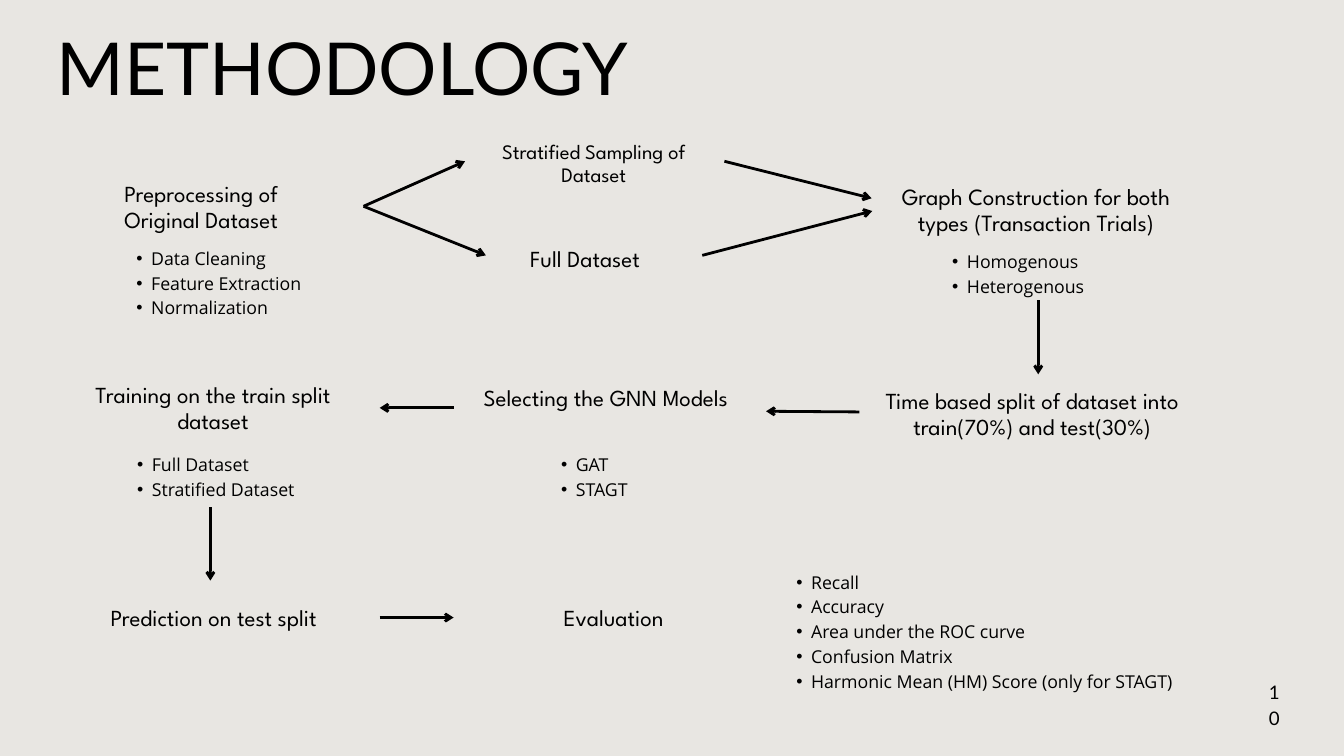
from lxml import etree
from pptx import Presentation
from pptx import util as u
from pptx.dml.color import RGBColor
from pptx.enum import shapes, text
from pptx.oxml import ns

COLORS = {"paper": "E8E6E2", "ink": "000000"}
LEFT, MID = text.PP_ALIGN.LEFT, text.PP_ALIGN.CENTER


class Board:
    """Holds the slide and the style of its text and arrows."""

    def __init__(self, slide):
        self.slide = slide
        self.ink = RGBColor.from_string(COLORS["ink"])
        fill = slide.background.fill
        fill.solid()
        fill.fore_color.rgb = RGBColor.from_string(COLORS["paper"])

    def label(self, lines, place, font, size, lead, align=LEFT, bullet=False):
        """Add a text box with one paragraph per line; lead is the line pitch in points."""
        box = self.slide.shapes.add_textbox(*map(u.Inches, place))
        frame = box.text_frame
        frame.margin_left = frame.margin_right = 0
        frame.margin_top = frame.margin_bottom = 0
        frame.word_wrap = True
        frame.auto_size = text.MSO_AUTO_SIZE.SHAPE_TO_FIT_TEXT
        frame.text = "\n".join(lines)
        for para in frame.paragraphs:
            para.alignment = align
            para.line_spacing = u.Pt(lead)
            if bullet:
                self.mark(para)
            for run in para.runs:
                run.font.name = font
                run.font.size = u.Pt(size)
                run.font.color.rgb = self.ink

    def mark(self, para):
        """Give a paragraph a hanging bullet."""
        para.level = 1
        props = para._p.get_or_add_pPr()
        props.set("marL", str(u.Inches(0.45)))
        props.set("indent", str(u.Inches(-0.22)))
        etree.SubElement(props, ns.qn("a:buFont"), typeface="Arial")
        etree.SubElement(props, ns.qn("a:buChar"), char="•")

    def title(self, words, place):
        self.label([words], place, "Lato", 78.2, 89.9)

    def number(self, words, place):
        self.label([words], place, "Lato", 20, 28, MID)

    def step(self, lines, place, size=24.6, align=MID):
        self.label(lines, place, "League Spartan", size, round(size * 1.13, 1), align)

    def bullets(self, lines, place):
        self.label(lines, place, "Open Sans", 19, 26.6, bullet=True)

    def arrow(self, *ends):
        line = self.slide.shapes.add_connector(
            shapes.MSO_CONNECTOR.STRAIGHT, *map(u.Inches, ends))
        line.line.color.rgb = self.ink
        line.line.width = u.Pt(3)
        props = line._element.spPr
        etree.SubElement(props.find(ns.qn("a:ln")), ns.qn("a:tailEnd"), type="arrow")
        etree.SubElement(props, ns.qn("a:effectLst"))


def main():
    deck = Presentation()
    deck.slide_width, deck.slide_height = u.Inches(20), u.Inches(11.25)
    board = Board(deck.slides.add_slide(deck.slide_layouts[6]))

    board.title("METHODOLOGY", (0.84, 0.39, 15.08, 1.25))
    board.number("10", (18.88, 10.07, 0.17, 0.22))

    board.step(["Preprocessing of", "Original Dataset"],
               (1.85, 2.69, 2.66, 0.78), align=LEFT)
    board.step(["Stratified Sampling of Dataset"], (7.01, 2.09, 3.65, 0.69), size=22)
    board.step(["Graph Construction for both types (Transaction Trials)"],
               (13.19, 2.73, 4.45, 0.79), size=24.9)
    for words, place in (
        ("Full Dataset", (7.77, 3.66, 1.87, 0.4)),
        ("Time based split of dataset into train(70%) and test(30%)",
         (13.05, 5.77, 4.62, 0.78)),
        ("Selecting the GNN Models", (6.98, 5.73, 4.07, 0.4)),
        ("Training on the train split dataset", (1.07, 5.69, 4.2, 0.78)),
        ("Prediction on test split", (1.29, 9, 3.78, 0.4)),
        ("Evaluation", (7.24, 9, 3.78, 0.4)),
    ):
        board.step([words], place)

    for lines, place in (
        (["Data Cleaning", "Feature Extraction", "Normalization"],
         (1.8, 3.63, 2.7, 1.08)),
        (["Homogenous", "Heterogenous"], (13.94, 3.68, 2.2, 0.72)),
        (["GAT", "STAGT"], (8.12, 6.7, 1.46, 0.73)),
        (["Full Dataset", "Stratified Dataset"], (1.81, 6.7, 2.84, 0.72)),
        (["Recall", "Accuracy", "Area under the ROC curve", "Confusion Matrix",
          "Harmonic Mean (HM) Score (only for STAGT)"], (11.62, 8.45, 6.06, 1.87)),
    ):
        board.bullets(lines, place)

    for ends in (
        (5.41, 3.07, 6.92, 2.4),
        (5.41, 3.07, 7.23, 3.8),
        (10.78, 2.4, 12.97, 2.95),
        (10.45, 3.8, 12.98, 3.14),
        (15.45, 4.47, 15.45, 5.57),
        (12.79, 6.13, 11.4, 6.12),
        (6.75, 6.07, 5.65, 6.07),
        (3.13, 7.55, 3.13, 8.64),
        (5.65, 9.19, 6.75, 9.19),
    ):
        board.arrow(*ends)

    deck.save("out.pptx")


if __name__ == "__main__":
    main()
